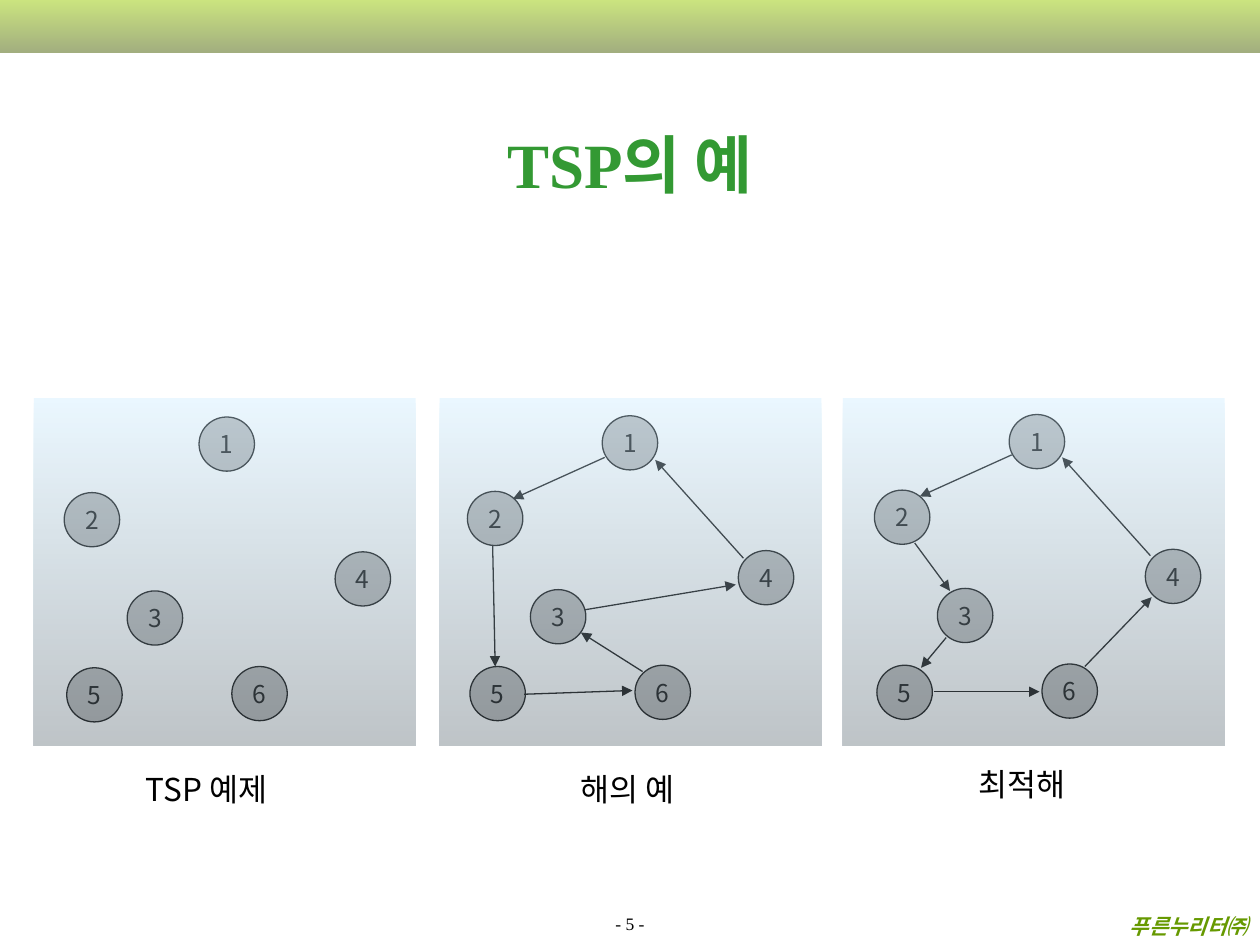
import pptx
import pptx.dml.color
import pptx.enum.shapes
import pptx.enum.text
import pptx.oxml
import pptx.oxml.ns
import pptx.util
from pptx.util import Inches

SERIF = "Times New Roman"
SANS = "Noto Sans CJK KR"
ALIGN = pptx.enum.text.PP_ALIGN
ANCHOR = pptx.enum.text.MSO_ANCHOR
SHAPE = pptx.enum.shapes.MSO_SHAPE

TITLE = "TSP의 예"
PAGE_NUMBER = "- 5 -"
PUBLISHER = "푸른누리터㈜"

# City positions in the first panel; the others shift them.
CITIES = {"1": (1.58, 3.31), "3": (1.01, 4.69), "6": (1.84, 5.29),
          "4": (2.66, 4.38), "2": (0.51, 3.91), "5": (0.53, 5.3)}
CITY_SIZE = (0.44, 0.43)
PANEL_TOP, PANEL_WIDTH, PANEL_HEIGHT = 3.16, 3.03, 2.76

# Each tour arrow: start x, start y, end x, end y
PANELS = [
    {"left": 0.27, "shift": (0, 0), "caption": "TSP 예제",
     "caption_box": (1.06, 6.06, 1.21, 0.4), "tour": []},
    {"left": 3.49, "shift": (3.2, -0.01), "caption": "해의 예",
     "caption_box": (4.51, 6.06, 0.96, 0.4),
     "tour": [(4.8, 3.63, 4.07, 3.96), (3.91, 4.33, 3.93, 5.29),
              (4.16, 5.51, 5.02, 5.48), (5.1, 5.33, 4.61, 5.02),
              (4.64, 4.84, 5.84, 4.64), (5.9, 4.43, 5.2, 3.65)]},
    {"left": 6.69, "shift": (6.43, -0.02), "caption": "최적해",
     "caption_box": (7.67, 6.02, 0.89, 0.4),
     "tour": [(8.03, 3.61, 7.3, 3.94), (7.26, 4.31, 7.54, 4.69),
              (7.51, 5.06, 7.31, 5.3), (7.41, 5.49, 8.25, 5.49),
              (8.61, 5.29, 9.14, 4.74), (9.13, 4.41, 8.43, 3.63)]},
]


def color(hex_value):
    return pptx.dml.color.RGBColor.from_string(hex_value)


def inches(values):
    return [Inches(value) for value in values]


def add_child(parent, tag, **attributes):
    child = pptx.oxml.parse_xml(f"<{tag} {pptx.oxml.ns.nsdecls('a')}/>")
    for name, value in attributes.items():
        child.set(name, value)
    parent.append(child)


def write(shape, text, size, font, hex_value="000000", align=ALIGN.LEFT,
          anchor=ANCHOR.TOP, wrap=True, bold=False, italic=False):
    frame = shape.text_frame
    frame.word_wrap = wrap
    frame.vertical_anchor = anchor
    frame.text = text
    paragraph = frame.paragraphs[0]
    paragraph.alignment = align
    paragraph.font.size = pptx.util.Pt(size)
    paragraph.font.name = font
    paragraph.font.bold = bold
    paragraph.font.italic = italic
    paragraph.font.color.rgb = color(hex_value)


def add_gradient(slide, box, top_color, bottom_color, opacity):
    """Add a borderless rectangle with a translucent top-to-bottom gradient."""
    shape = slide.shapes.add_shape(SHAPE.RECTANGLE, *inches(box))
    shape.shadow.inherit = False
    shape.line.fill.background()
    shape.fill.gradient()
    shape.fill.gradient_angle = 270
    for stop, hex_value in zip(shape.fill.gradient_stops, (top_color, bottom_color)):
        stop.color.rgb = color(hex_value)
    for element in shape._element.spPr.iter(pptx.oxml.ns.qn("a:srgbClr")):
        add_child(element, "a:alpha", val=str(opacity * 1000))


def add_city(slide, name, left, top):
    city = slide.shapes.add_shape(SHAPE.OVAL, *inches((left, top, *CITY_SIZE)))
    city.shadow.inherit = False
    city.fill.solid()
    city.fill.fore_color.rgb = color("B2B2B2")
    city.line.color.rgb = color("000000")
    city.line.width = pptx.util.Pt(0.75)
    write(city, name, 14, SANS, align=ALIGN.CENTER, anchor=ANCHOR.MIDDLE, wrap=False)


def add_arrow(slide, points):
    arrow = slide.shapes.add_connector(
        pptx.enum.shapes.MSO_CONNECTOR.STRAIGHT, *inches(points))
    arrow.line.color.rgb = color("000000")
    arrow.line.width = pptx.util.Pt(0.75)
    add_child(arrow.line._get_or_add_ln(), "a:tailEnd", type="triangle")
    add_child(arrow._element.spPr, "a:effectLst")


def add_panel(slide, panel):
    """Add cities and tour, then the translucent panel that tints them."""
    shift_x, shift_y = panel["shift"]
    for name, (left, top) in CITIES.items():
        add_city(slide, name, left + shift_x, top + shift_y)
    for points in panel["tour"]:
        add_arrow(slide, points)
    add_gradient(slide, (panel["left"], PANEL_TOP, PANEL_WIDTH, PANEL_HEIGHT),
                 "CCECFF", "5E6C75", 40)
    caption = slide.shapes.add_textbox(*inches(panel["caption_box"]))
    write(caption, panel["caption"], 18, SANS)


def main():
    presentation = pptx.Presentation()
    presentation.slide_width, presentation.slide_height = inches((10, 7.5))
    slide = presentation.slides.add_slide(presentation.slide_layouts[5])

    add_gradient(slide, (0, 0, 10, 0.42), "99CC00", "465E00", 50)
    page_number = slide.shapes.add_textbox(*inches((0, 7.24, 10, 0.22)))
    write(page_number, PAGE_NUMBER, 10, SERIF, align=ALIGN.CENTER, anchor=ANCHOR.BOTTOM)
    publisher = slide.shapes.add_textbox(*inches((0.06, 7.2, 9.94, 0.3)))
    write(publisher, PUBLISHER, 12, SERIF, "669900", ALIGN.RIGHT, bold=True, italic=True)

    for panel in PANELS:
        add_panel(slide, panel)

    title = slide.shapes.title
    title.left, title.top, title.width, title.height = inches((0.75, 0.67, 8.5, 1.25))
    write(title, TITLE, 36, SERIF, "339933", ALIGN.CENTER, ANCHOR.MIDDLE, bold=True)

    presentation.save("out.pptx")


if __name__ == "__main__":
    main()
